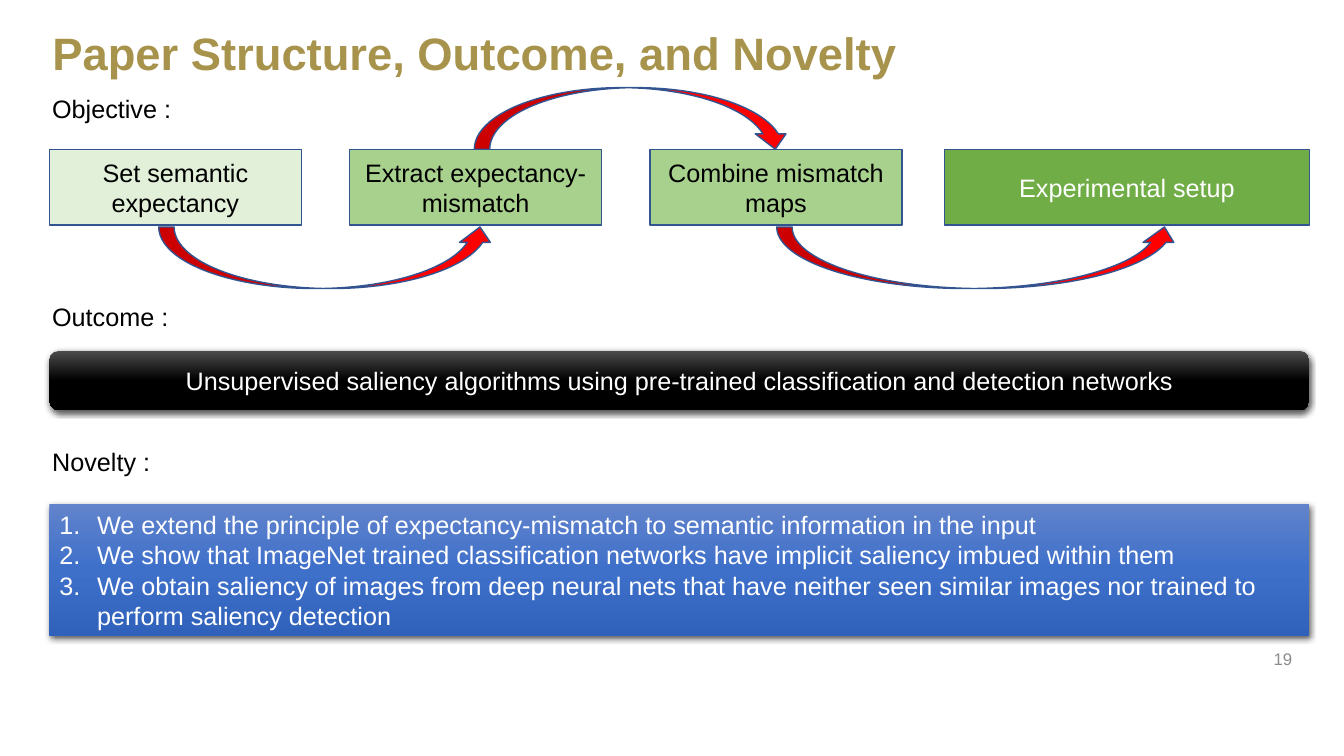
from lxml import etree
from pptx import Presentation
from pptx import util as u
from pptx.dml.color import RGBColor
from pptx.enum import shapes, text
from pptx.oxml import ns

Pt = u.Pt
COLORS = {
    "gold": "A7934B", "black": "000000", "white": "FFFFFF", "gray": "8C8C8C",
    "outline": "325491", "red": "FF0000",
    "pale": "E2F0D9", "light": "A9D18E", "green": "70AD47",
}
OUTCOME_STOPS = ["4B4B4B", "000000", "000000"]
NOVELTY_STOPS = ["6183CB", "3E70CA", "3062BB"]
LEFT, FULL_WIDTH = 35.3, 900
STEP_TOP, STEP_HEIGHT, STEP_PITCH = 106.6, 54, 214.5
ARROW_DEPTH = 44
NOVELTIES = [
    "We extend the principle of expectancy-mismatch to semantic information in the input",
    "We show that ImageNet trained classification networks have implicit saliency imbued within them",
    "We obtain saliency of images from deep neural nets that have neither seen similar images "
    "nor trained to perform saliency detection",
]


def rgb(name):
    """Return the named colour."""
    return RGBColor.from_string(COLORS[name])


def write(paragraph, words, color, size=18, align=text.PP_ALIGN.LEFT):
    """Fill a paragraph with words in one style."""
    paragraph.text = words
    paragraph.alignment = align
    paragraph.font.name = "Arial"
    paragraph.font.size = Pt(size)
    paragraph.font.color.rgb = rgb(color)


def add_title(slide, words):
    """Place and format the slide title."""
    title = slide.shapes.title
    title.left, title.top, title.width, title.height = Pt(30.2), Pt(0), Pt(637.2), Pt(80)
    frame = title.text_frame
    frame.auto_size = text.MSO_AUTO_SIZE.NONE
    frame.vertical_anchor = text.MSO_ANCHOR.MIDDLE
    heading = frame.paragraphs[0]
    write(heading, words, "gold", 32.4)
    heading.font.bold = True
    heading.line_spacing = 0.9


def add_label(slide, words, top, width):
    """Add a section label at the left margin."""
    frame = slide.shapes.add_textbox(Pt(30.2), Pt(top), Pt(width), Pt(29)).text_frame
    frame.word_wrap = False
    frame.auto_size = text.MSO_AUTO_SIZE.SHAPE_TO_FIT_TEXT
    write(frame.paragraphs[0], words, "black")


def add_page_number(slide, number):
    """Add the page number at the lower right."""
    frame = slide.shapes.add_textbox(Pt(714.2), Pt(456.5), Pt(216), Pt(28.8)).text_frame
    frame.word_wrap = True
    frame.vertical_anchor = text.MSO_ANCHOR.MIDDLE
    write(frame.paragraphs[0], number, "gray", 12, text.PP_ALIGN.RIGHT)


def add_outlined(slide, kind, left, top, width, height, fill):
    """Add a flat shape with the common outline."""
    shape = slide.shapes.add_shape(kind, Pt(left), Pt(top), Pt(width), Pt(height))
    shape.shadow.inherit = False
    shape.fill.solid()
    shape.fill.fore_color.rgb = rgb(fill)
    shape.line.color.rgb = rgb("outline")
    shape.line.width = Pt(1)
    return shape


def add_step(slide, words, left, width, fill, color):
    """Add one step of the objective."""
    step = add_outlined(slide, shapes.MSO_SHAPE.RECTANGLE, left, STEP_TOP, width, STEP_HEIGHT, fill)
    write(step.text_frame.paragraphs[0], words, color, align=text.PP_ALIGN.CENTER)


def add_arc(slide, start, end, top, over=False):
    """Add a curved arrow from start to end, over or under the steps."""
    span = end - start
    left = (start + end - ARROW_DEPTH) / 2
    arc = add_outlined(slide, shapes.MSO_SHAPE.CURVED_RIGHT_ARROW, left,
                       top + (ARROW_DEPTH - span) / 2, ARROW_DEPTH, span, "red")
    arc.rotation = 90 if over else 270
    if over:
        arc.element.spPr.find(ns.qn("a:xfrm")).set("flipV", "1")


def add_panel(slide, kind, top, height, stops):
    """Add a full-width panel with a vertical gradient and a soft shadow."""
    panel = slide.shapes.add_shape(kind, Pt(LEFT), Pt(top), Pt(FULL_WIDTH), Pt(height))
    panel.line.fill.background()
    panel.fill.gradient()
    panel.fill.gradient_angle = 270
    properties = panel.element.spPr
    ramp = properties.find(".//" + ns.qn("a:gsLst"))
    for stop in list(ramp):
        ramp.remove(stop)
    for position, color in zip((0, 50000, 100000), stops):
        stop = etree.SubElement(ramp, ns.qn("a:gs"), pos=str(position))
        etree.SubElement(stop, ns.qn("a:srgbClr"), val=color)
    panel.shadow.inherit = False
    shadow = etree.SubElement(properties.find(ns.qn("a:effectLst")), ns.qn("a:outerShdw"),
                              blurRad=str(Pt(4.5)), dist=str(Pt(1.5)), dir="5400000",
                              algn="ctr", rotWithShape="0")
    tint = etree.SubElement(shadow, ns.qn("a:srgbClr"), val=COLORS["black"])
    etree.SubElement(tint, ns.qn("a:alpha"), val="63000")
    return panel.text_frame


def add_numbered(frame, items):
    """Write the items as a numbered list."""
    for index, item in enumerate(items):
        paragraph = frame.add_paragraph() if index else frame.paragraphs[0]
        layout = paragraph._p.get_or_add_pPr()
        layout.set("marL", str(Pt(27)))
        layout.set("indent", str(-Pt(27)))
        etree.SubElement(layout, ns.qn("a:buFont"), typeface="+mj-lt")
        etree.SubElement(layout, ns.qn("a:buAutoNum"), type="arabicPeriod")
        write(paragraph, item, "white")


def main():
    """Build the slide and save it."""
    deck = Presentation()
    deck.slide_width, deck.slide_height = Pt(960), Pt(540)
    slide = deck.slides.add_slide(deck.slide_layouts[5])

    add_title(slide, "Paper Structure, Outcome, and Novelty")
    add_page_number(slide, "19")

    add_label(slide, "Objective :", 63.4, 100)
    steps = [("Set semantic expectancy", "pale"),
             ("Extract expectancy-mismatch", "light"),
             ("Combine mismatch maps", "light")]
    for index, (words, fill) in enumerate(steps):
        add_step(slide, words, LEFT + index * STEP_PITCH, 180, fill, "black")
    add_step(slide, "Experimental setup", 674.7, 260.6, "green", "white")
    below = STEP_TOP + STEP_HEIGHT + 1.5
    add_arc(slide, 113.4, 353.9, below)
    add_arc(slide, 554.8, 842.8, below)
    add_arc(slide, 338.8, 564.8, STEP_TOP - ARROW_DEPTH, over=True)

    add_label(slide, "Outcome :", 211.7, 98.6)
    outcome = add_panel(slide, shapes.MSO_SHAPE.ROUNDED_RECTANGLE, 250.6, 42.5, OUTCOME_STOPS)
    write(outcome.paragraphs[0],
          "Unsupervised saliency algorithms using pre-trained classification and detection networks",
          "white", align=text.PP_ALIGN.CENTER)

    add_label(slide, "Novelty :", 315.4, 85)
    novelty = add_panel(slide, shapes.MSO_SHAPE.RECTANGLE, 360, 94.3, NOVELTY_STOPS)
    add_numbered(novelty, NOVELTIES)

    deck.save("out.pptx")


if __name__ == "__main__":
    main()
